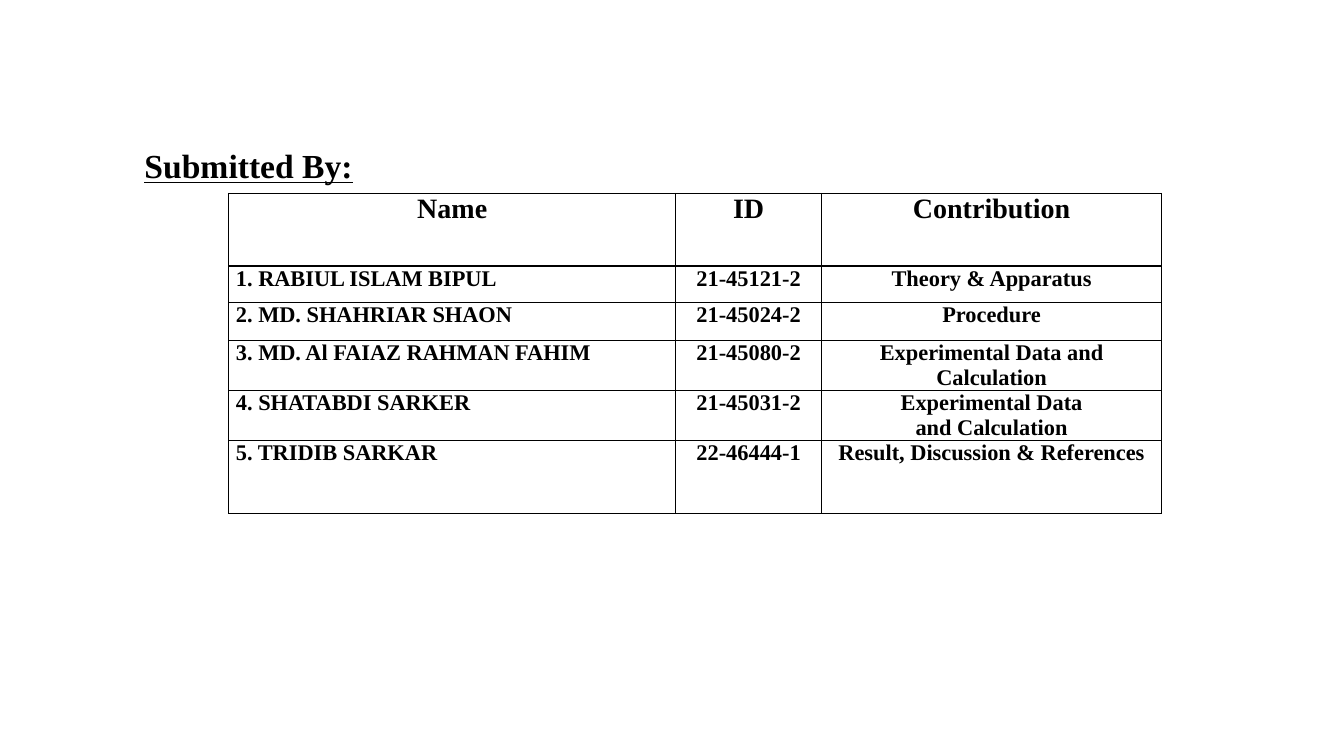
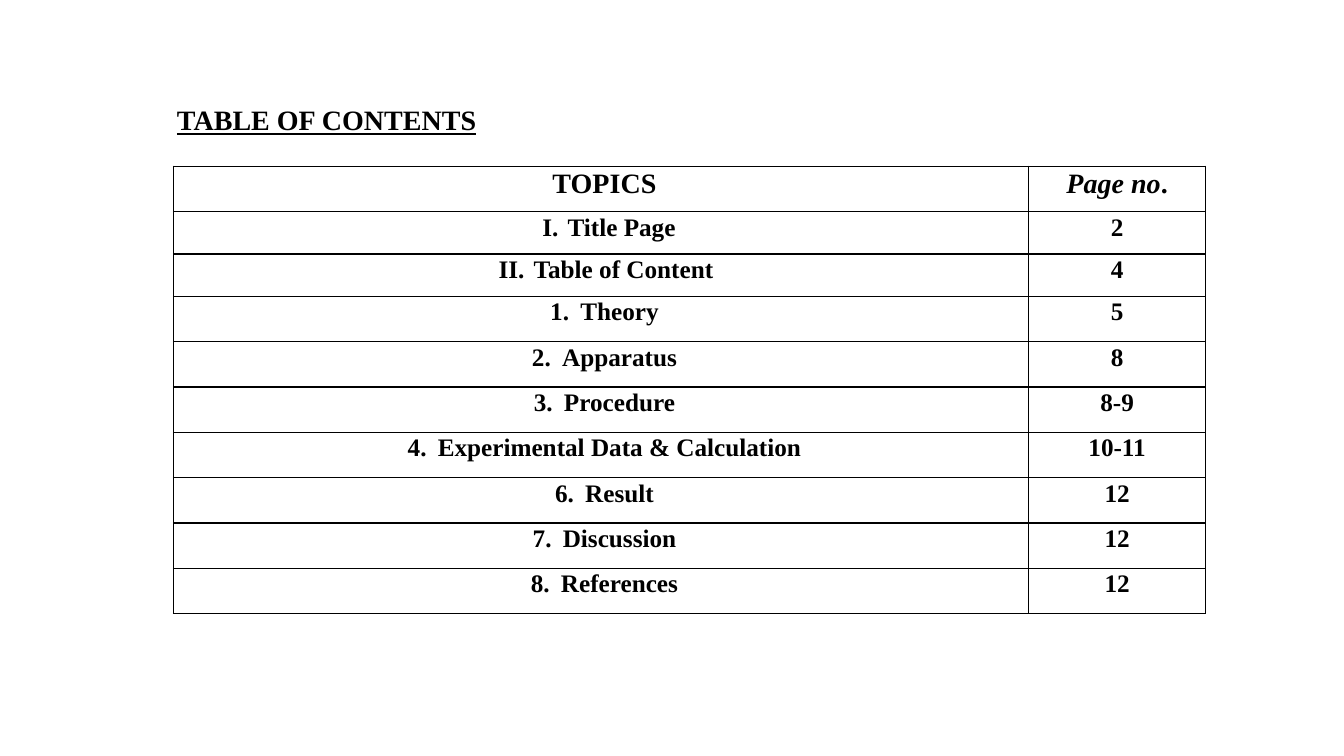
import pptx
import pptx.dml.color
import pptx.enum.text
import pptx.oxml
import pptx.oxml.ns
import pptx.util

Inches = pptx.util.Inches
Pt = pptx.util.Pt
ALIGN = pptx.enum.text.PP_ALIGN

COLORS = {"ink": "000000"}
FONT = "Times New Roman"

TEAM = [
    ("Name", "ID", "Contribution"),
    ("1. RABIUL ISLAM BIPUL", "21-45121-2", "Theory & Apparatus"),
    ("2. MD. SHAHRIAR SHAON", "21-45024-2", "Procedure"),
    ("3. MD. Al FAIAZ RAHMAN FAHIM", "21-45080-2",
     "Experimental Data and Calculation"),
    ("4. SHATABDI SARKER", "21-45031-2", "Experimental Data\nand Calculation"),
    ("5. TRIDIB SARKAR", "22-46444-1", "Result, Discussion & References"),
]

# Number, topic, page, left indent, extra points after the number
TOPICS = [
    ("I.", "Title Page", "2", 0.16, 2),
    ("II.", "Table of Content", "4", 0.1, 2),
    ("1.", "Theory", "5", 0.07, 3.5),
    ("2.", "Apparatus", "8", 0.07, 3.5),
    ("3.", "Procedure", "8-9", 0.07, 3.5),
    ("4.", "Experimental Data & Calculation", "10-11", 0.07, 3.5),
    ("6.", "Result", "12", 0.07, 3.5),
    ("7.", "Discussion", "12", 0.07, 3.5),
    ("8.", "References", "12", 0.07, 3.5),
]


def style(run, size):
    font = run.font
    font.name, font.size, font.bold = FONT, Pt(size), True
    font.color.rgb = pptx.dml.color.RGBColor.from_string(COLORS["ink"])


def add_title(slide, text, place, size, space=1.0):
    box = slide.shapes.add_textbox(*map(Inches, place))
    frame = box.text_frame
    frame.word_wrap = True
    frame.auto_size = pptx.enum.text.MSO_AUTO_SIZE.SHAPE_TO_FIT_TEXT
    frame.text = text
    par = frame.paragraphs[0]
    par.alignment, par.line_spacing = ALIGN.CENTER, space
    style(par.runs[0], size)
    par.runs[0].font.underline = True


def add_border(cell):
    props = cell._tc.get_or_add_tcPr()
    for side in "LRTB":
        props.append(pptx.oxml.parse_xml(
            f'<a:ln{side} {pptx.oxml.ns.nsdecls("a")} w="{Pt(1)}">'
            f'<a:solidFill><a:srgbClr val="{COLORS["ink"]}"/></a:solidFill>'
            f'</a:ln{side}>'))
    cell.fill.background()


def add_grid(slide, left, top, cols, rows, inset):
    """Add an empty table with thin borders, no fill and side insets."""
    shape = slide.shapes.add_table(
        len(rows), len(cols), Inches(left), Inches(top),
        Inches(sum(cols)), Inches(sum(rows)))
    table = shape.table
    table.first_row = table.horz_banding = False
    for col, width in zip(table.columns, cols):
        col.width = Inches(width)
    for row, height in zip(table.rows, rows):
        row.height = Inches(height)
    for cell in table.iter_cells():
        add_border(cell)
        cell.margin_left = cell.margin_right = Inches(inset)
        cell.margin_top = cell.margin_bottom = 0
    return table


def fill_cell(cell, parts, size, align=ALIGN.CENTER):
    """Write the parts as lines, each a list of runs, and return the runs."""
    frame = cell.text_frame
    runs = []
    for idx, line in enumerate(parts):
        par = frame.add_paragraph() if idx else frame.paragraphs[0]
        par.alignment = align
        for text in line:
            run = par.add_run()
            run.text = text
            style(run, size)
            runs.append(run)
    return runs


def set_space(cell, indent=0):
    par = cell.text_frame.paragraphs[0]
    par.line_spacing, par.space_before = 1.07, Pt(2)
    if indent:
        par._p.get_or_add_pPr().set("marL", str(Inches(indent)))
        par._p.get_or_add_pPr().set("indent", "0")


def add_team(slide):
    table = add_grid(slide, 2.27, 1.92, [4.43, 1.45, 3.37],
                     [0.72, 0.36, 0.38, 0.36, 0.36, 0.73], 0.07)
    for r, row in enumerate(TEAM):
        for c, text in enumerate(row):
            align = ALIGN.LEFT if r and c == 0 else ALIGN.CENTER
            lines = [[line] for line in text.split("\n")]
            fill_cell(table.cell(r, c), lines, 16 if r else 20, align)
    add_title(slide, "Submitted By:", (0.84, 1.19, 3.25, 0.63), 24, 1.5)


def add_topics(slide):
    table = add_grid(slide, 1.72, 1.65, [8.48, 1.76],
                     [0.45] + [0.42] * 2 + [0.45] * 7, 0)
    head, page = table.cell(0, 0), table.cell(0, 1)
    fill_cell(head, [["TOPICS"]], 20)
    fill_cell(page, [["Page no", "."]], 20)[0].font.italic = True
    set_space(head, 0.07)
    set_space(page)
    for r, (num, topic, number, indent, gap) in enumerate(TOPICS, 1):
        name, page = table.cell(r, 0), table.cell(r, 1)
        space = fill_cell(name, [[num, " ", topic]], 18)[1]
        space._r.get_or_add_rPr().set("spc", str(int(gap * 100)))
        fill_cell(page, [[number]], 18)
        set_space(name, indent)
        set_space(page)
    add_title(slide, "TABLE OF CONTENTS", (-0.09, 0.97, 6.66, 0.44), 20)


def main():
    deck = pptx.Presentation()
    deck.slide_width, deck.slide_height = Inches(13.33), Inches(7.5)
    for build in (add_team, add_topics):
        build(deck.slides.add_slide(deck.slide_layouts[6]))
    deck.save("out.pptx")


if __name__ == "__main__":
    main()
